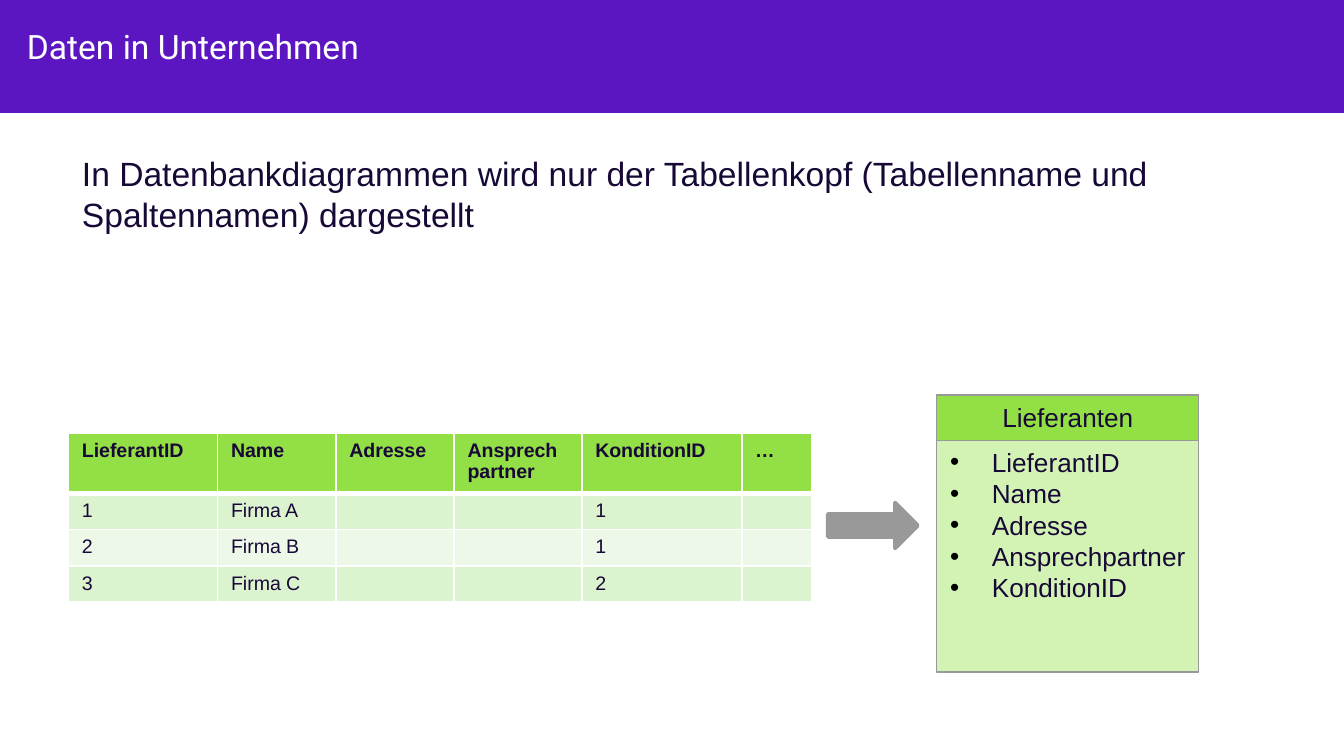
from dataclasses import dataclass

from lxml.etree import SubElement
from pptx import Presentation
from pptx.dml.color import RGBColor
from pptx.enum.shapes import MSO_SHAPE
from pptx.enum.text import MSO_ANCHOR, PP_ALIGN
from pptx.oxml.ns import qn
from pptx.util import Inches, Pt


@dataclass(frozen=True)
class Theme:
    purple: str = "5C16C1"
    white: str = "FFFFFF"
    ink: str = "170836"
    black: str = "000000"
    grey: str = "999999"
    green: str = "93DF46"
    pale_green: str = "D3F3B5"
    bands: tuple = ("DCF3CF", "EEF8E9")
    title_font: str = "Roboto"
    body_font: str = "Arial"
    large: float = 18
    medium: float = 14
    small: float = 10.5


T = Theme()

COLUMNS = {"LieferantID": 1.11, "Name": 0.88, "Adresse": 0.88,
           "Ansprech partner": 0.95, "KonditionID": 1.19, "…": 0.52}
ROWS = [("1", "Firma A", "", "", "1", ""),
        ("2", "Firma B", "", "", "1", ""),
        ("3", "Firma C", "", "", "2", "")]
FIELDS = ["LieferantID", "Name", "Adresse", "Ansprechpartner", "KonditionID"]


def rgb(value):
    return RGBColor.from_string(value)


def write(tf, *lines, size=T.large, font=T.body_font, color=T.ink, bold=False,
          align=PP_ALIGN.LEFT, top=0.01, bullet=False):
    """Write one paragraph per line."""
    tf.word_wrap = True
    tf.vertical_anchor = MSO_ANCHOR.TOP
    tf.margin_left = tf.margin_right = tf.margin_bottom = 0
    tf.margin_top = Inches(top)
    for i, line in enumerate(lines):
        p = tf.paragraphs[0] if i == 0 else tf.add_paragraph()
        p.alignment = align
        r = p.add_run()
        r.text = line
        r.font.size, r.font.name, r.font.bold = Pt(size), font, bold
        r.font.color.rgb = rgb(color)
        if bullet:
            add_bullet(p)


def add_bullet(p):
    pPr = p._p.get_or_add_pPr()
    pPr.set("marL", str(Inches(0.41)))
    pPr.set("indent", str(Inches(-0.31)))
    clr = SubElement(pPr, qn("a:buClr"))
    SubElement(clr, qn("a:srgbClr"), val=T.black)
    SubElement(pPr, qn("a:buFont"), typeface=T.body_font)
    SubElement(pPr, qn("a:buChar"), char="•")


def add_text(s, x, y, w, h, text, **fmt):
    sp = s.shapes.add_textbox(Inches(x), Inches(y), Inches(w), Inches(h))
    write(sp.text_frame, text, **fmt)


def paint(sp, fill, line=None, width=0.75):
    sp.shadow.inherit = False
    sp.fill.solid()
    sp.fill.fore_color.rgb = rgb(fill)
    if line:
        sp.line.color.rgb = rgb(line)
        sp.line.width = Pt(width)
    else:
        sp.line.fill.background()


def add_box(s, x, y, w, h, fill, line=None):
    sp = s.shapes.add_shape(MSO_SHAPE.RECTANGLE, Inches(x), Inches(y),
                            Inches(w), Inches(h))
    paint(sp, fill, line)
    return sp.text_frame


def set_borders(cell, **widths):
    tcPr = cell._tc.get_or_add_tcPr()
    for side in "LRTB":
        ln = SubElement(tcPr, qn(f"a:ln{side}"), w=str(Pt(widths.get(side, 1))))
        fill = SubElement(ln, qn("a:solidFill"))
        SubElement(fill, qn("a:srgbClr"), val=T.white)


def fill_cell(cell, text, fill, bold=False, **borders):
    set_borders(cell, **borders)
    cell.fill.solid()
    cell.fill.fore_color.rgb = rgb(fill)
    cell.margin_left, cell.margin_top = Inches(0.1), Inches(0.05)
    cell.margin_right = cell.margin_bottom = 0
    p = cell.text_frame.paragraphs[0]
    if text:
        r = p.add_run()
        r.text = text
        r.font.size, r.font.name, r.font.bold = Pt(T.small), T.body_font, bold
        r.font.color.rgb = rgb(T.ink)
    else:
        # Keeps empty cells from stretching their row
        SubElement(p._p, qn("a:endParaRPr"), sz=str(int(T.small * 100)))


def add_supplier_table(s, x, y, header_h=0.45, row_h=0.27):
    height = header_h + row_h * len(ROWS)
    table = s.shapes.add_table(len(ROWS) + 1, len(COLUMNS), Inches(x), Inches(y),
                               Inches(sum(COLUMNS.values())), Inches(height)).table
    table.first_row = table.horz_banding = False
    for col, width in zip(table.columns, COLUMNS.values()):
        col.width = Inches(width)
    for i, row in enumerate([tuple(COLUMNS), *ROWS]):
        table.rows[i].height = Inches(row_h if i else header_h)
        # Thick rule between header and body
        borders = {0: {"B": 3}, 1: {"T": 3}}.get(i, {})
        fill = T.bands[(i - 1) % 2] if i else T.green
        for j, text in enumerate(row):
            fill_cell(table.cell(i, j), text, fill, bold=i == 0, **borders)


def add_block_arrow(s, x, y, w, h):
    neck, upper, lower = x + w - h / 2, y + h / 4, y + h * 3 / 4
    points = [(x, upper), (neck, upper), (neck, y), (x + w, y + h / 2),
              (neck, y + h), (neck, lower), (x, lower)]
    start, *rest = [(Inches(px), Inches(py)) for px, py in points]
    fb = s.shapes.build_freeform(*start)
    fb.add_line_segments(rest, close=True)
    paint(fb.convert_to_shape(), T.grey, T.grey, 2)


def add_entity(s, x, y, w, head_h, body_h, name, fields):
    body = add_box(s, x, y + head_h, w, body_h, T.pale_green, T.grey)
    write(body, *fields, size=T.medium, top=0.04, bullet=True)
    head = add_box(s, x, y, w, head_h, T.green, T.grey)
    write(head, name, size=T.medium, top=0.05, align=PP_ALIGN.CENTER)


def main():
    prs = Presentation()
    # Widescreen, 16:9
    prs.slide_width = Inches(10)
    prs.slide_height = prs.slide_width * 9 // 16
    s = prs.slides.add_slide(prs.slide_layouts[6])

    # Title band
    add_box(s, 0, 0, 10, 0.84, T.purple)
    add_text(s, 0.2, 0.18, 5.12, 0.33, "Daten in Unternehmen",
             font=T.title_font, color=T.white)

    # Statement
    add_text(s, 0.61, 1.13, 8.01, 0.63,
             "In Datenbankdiagrammen wird nur der Tabellenkopf "
             "(Tabellenname und Spaltennamen) dargestellt")

    # Table turned into its diagram symbol
    add_entity(s, 6.97, 2.94, 1.95, 0.34, 1.72, "Lieferanten", FIELDS)
    add_supplier_table(s, 0.51, 3.22)
    add_block_arrow(s, 6.16, 3.74, 0.67, 0.34)

    prs.save("out.pptx")


if __name__ == "__main__":
    main()
